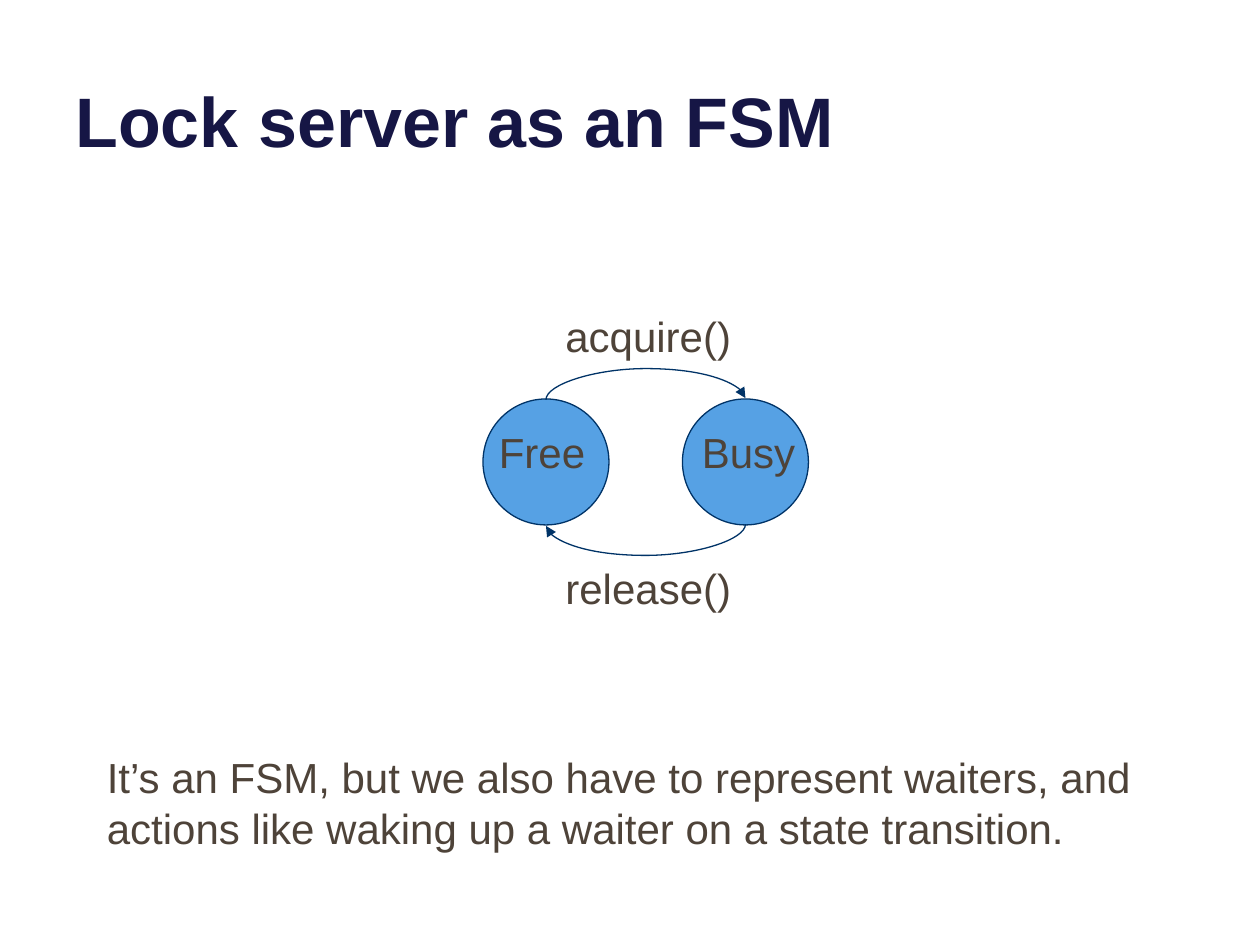
from dataclasses import dataclass

from lxml.etree import SubElement
from pptx import Presentation
from pptx.dml.color import RGBColor
from pptx.enum.shapes import MSO_CONNECTOR as Connector, MSO_SHAPE as Shape
from pptx.enum.text import MSO_ANCHOR as Anchor, MSO_AUTO_SIZE as AutoSize, PP_ALIGN as Align
from pptx.oxml.ns import qn
from pptx.util import Pt


@dataclass(frozen=True)
class Theme:
    font: str = "Arial"
    title_color: RGBColor = RGBColor.from_string("161645")
    text_color: RGBColor = RGBColor.from_string("4E4339")
    state_fill: RGBColor = RGBColor.from_string("56A1E4")
    line_color: RGBColor = RGBColor.from_string("003367")
    title_size: int = 40
    text_size: int = 24
    line_width: float = 0.75


THEME = Theme()
STATE_SIZE = 72
STATE_TOP = 228
FREE_LEFT, BUSY_LEFT = 276, 390
STATE_GAP = BUSY_LEFT - FREE_LEFT
MIDDLE_X = (FREE_LEFT + BUSY_LEFT + STATE_SIZE) / 2
CURVE_BULGE = 18


def add_run(paragraph, text, size, color, bold=False):
    run = paragraph.add_run()
    run.text = text
    run.font.name = THEME.font
    run.font.size = Pt(size)
    run.font.color.rgb = color
    run.font.bold = bold


def style_line(line):
    line.color.rgb = THEME.line_color
    line.width = Pt(THEME.line_width)


def set_title(slide, text):
    title = slide.shapes.title
    title.left, title.top, title.width, title.height = Pt(36), Pt(-26.5), Pt(648), Pt(122.5)
    frame = title.text_frame
    frame.vertical_anchor = Anchor.BOTTOM
    frame.auto_size = AutoSize.NONE
    paragraph = frame.paragraphs[0]
    paragraph.alignment = Align.LEFT
    add_run(paragraph, text, THEME.title_size, THEME.title_color, bold=True)


def add_state(slide, left):
    state = slide.shapes.add_shape(
        Shape.OVAL, Pt(left), Pt(STATE_TOP), Pt(STATE_SIZE), Pt(STATE_SIZE))
    state.shadow.inherit = False
    state.fill.solid()
    state.fill.fore_color.rgb = THEME.state_fill
    style_line(state.line)


def add_transition(slide, middle_y, upward):
    direction = 1 if upward else -1
    half_width, half_height = direction * 0.5, direction * STATE_GAP / 2
    curve = slide.shapes.add_connector(
        Connector.CURVE,
        Pt(MIDDLE_X + half_width), Pt(middle_y + half_height),
        Pt(MIDDLE_X - half_width), Pt(middle_y - half_height))
    style_line(curve.line)
    properties = curve._element.spPr
    properties.find(qn("a:xfrm")).set("rot", "5400000")
    adjustments = properties.find(qn("a:prstGeom")).get_or_add_avLst()
    SubElement(adjustments, qn("a:gd"), name="adj1", fmla=f"val {CURVE_BULGE * 100000}")
    SubElement(properties.find(qn("a:ln")), qn("a:tailEnd"), type="triangle")
    SubElement(properties, qn("a:effectLst"))


def add_text(slide, text, left, top, width, height=36, wrap=False):
    box = slide.shapes.add_textbox(Pt(left), Pt(top), Pt(width), Pt(height))
    frame = box.text_frame
    frame.word_wrap = wrap
    frame.auto_size = AutoSize.SHAPE_TO_FIT_TEXT
    add_run(frame.paragraphs[0], text, THEME.text_size, THEME.text_color)


def main():
    presentation = Presentation()
    presentation.slide_width, presentation.slide_height = Pt(720), Pt(540)
    slide = presentation.slides.add_slide(presentation.slide_layouts[5])

    set_title(slide, "Lock server as an FSM")
    for left in (FREE_LEFT, BUSY_LEFT):
        add_state(slide, left)
    add_transition(slide, STATE_TOP, upward=True)
    add_transition(slide, STATE_TOP + STATE_SIZE, upward=False)

    add_text(slide, "Busy", 394, 240, 68)
    add_text(slide, "Free", 278, 240, 64)
    add_text(slide, "acquire()", 316, 174, 110)
    add_text(slide, "release()", 316, 318, 110)
    add_text(
        slide,
        "It’s an FSM, but we also have to represent waiters, "
        "and actions like waking up a waiter on a state transition.",
        54, 426, 618, 65.5, wrap=True)
    presentation.save("out.pptx")


if __name__ == "__main__":
    main()
